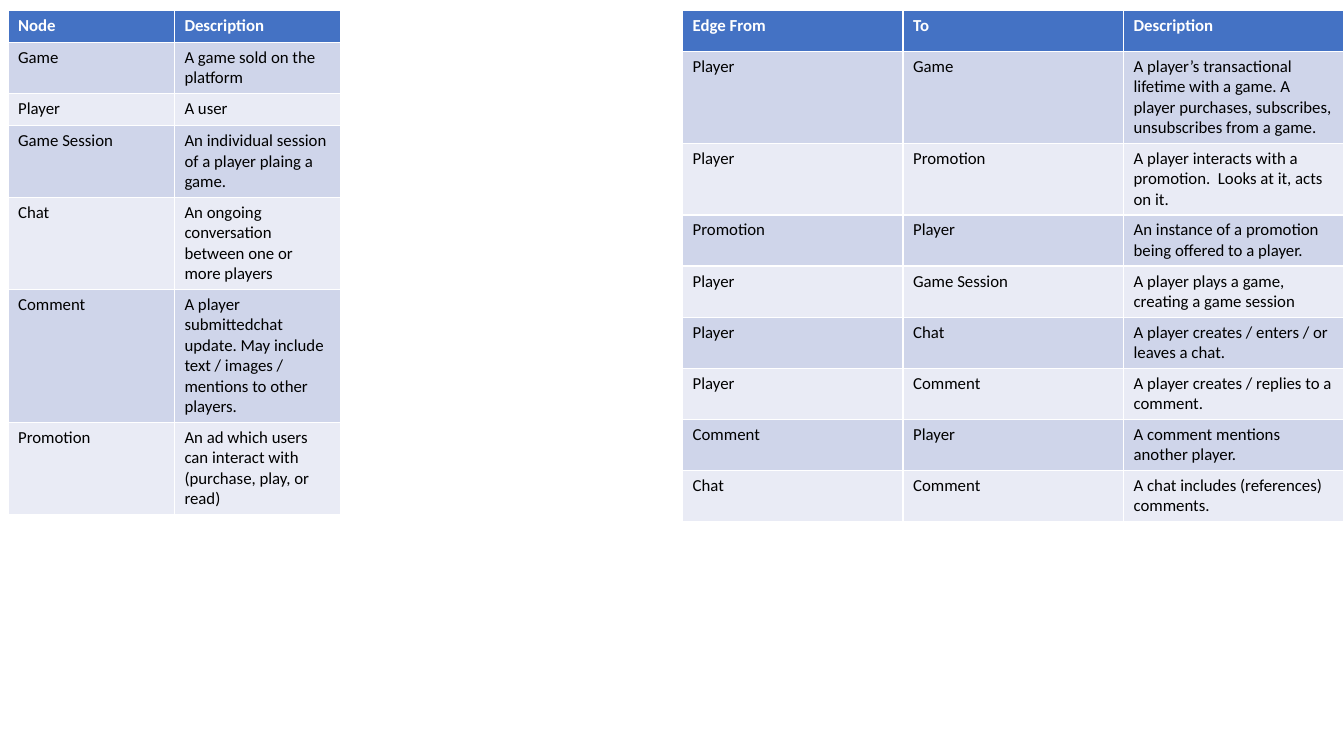
"""Build a slide with two tables describing the nodes and edges of a game graph."""
from pptx import Presentation
from pptx.dml.color import RGBColor
from pptx.util import Inches, Pt

NODES = [
    ("Node", "Description"),
    ("Game", "A game sold on the platform"),
    ("Player", "A user "),
    ("Game Session", "An individual session of a player plaing a game."),
    ("Chat", "An ongoing conversation between one or more players"),
    ("Comment", "A player submittedchat update. May include text / images / "
                "mentions to other players."),
    ("Promotion", "An ad which users can interact with (purchase, play, or read)"),
]
EDGES = [
    ("Edge From", "To", "Description"),
    ("Player", "Game", "A player’s transactional lifetime with a game. A player "
                       "purchases, subscribes, unsubscribes from a game. "),
    ("Player", "Promotion", "A player interacts with a promotion.  Looks at it, acts on it."),
    ("Promotion", "Player", "An instance of a promotion being offered to a player."),
    ("Player", "Game Session", "A player plays a game, creating a game session"),
    ("Player", "Chat", "A player creates / enters / or leaves a chat."),
    ("Player", "Comment", "A player creates / replies to a comment."),
    ("Comment", "Player", "A comment mentions another player."),
    ("Chat", "Comment", "A chat includes (references) comments."),
]
TABLES = [
    {"rows": NODES, "left": 0.08, "width": 3.3, "row_height": 0.32},
    {"rows": EDGES, "left": 6.77, "width": 6.56, "row_height": 0.41},
]
TOP = 0.1
HEADER_FILL = "4472C4"
BAND_FILLS = ("E9EBF5", "CFD5EA")


def color(hex_code):
    return RGBColor.from_string(hex_code)


def write(cell, text, fill, font_color="000000", bold=False, size=12, font="Calibri"):
    cell.fill.solid()
    cell.fill.fore_color.rgb = color(fill)
    span = cell.text_frame.paragraphs[0].add_run()
    span.text = text
    span.font.name = font
    span.font.size = Pt(size)
    span.font.bold = bold
    span.font.color.rgb = color(font_color)


def add_grid(page, rows, left, width, row_height):
    table = page.shapes.add_table(
        len(rows), len(rows[0]), Inches(left), Inches(TOP),
        Inches(width), Inches(row_height * len(rows))).table
    for row_index, row in enumerate(rows):
        for column_index, text in enumerate(row):
            cell = table.cell(row_index, column_index)
            if row_index == 0:
                write(cell, text, HEADER_FILL, font_color="FFFFFF", bold=True)
            else:
                write(cell, text, BAND_FILLS[row_index % 2])


deck = Presentation()
deck.slide_width, deck.slide_height = Inches(13.33), Inches(7.5)
page = deck.slides.add_slide(deck.slide_layouts[6])
for grid in TABLES:
    add_grid(page, **grid)
deck.save("out.pptx")
